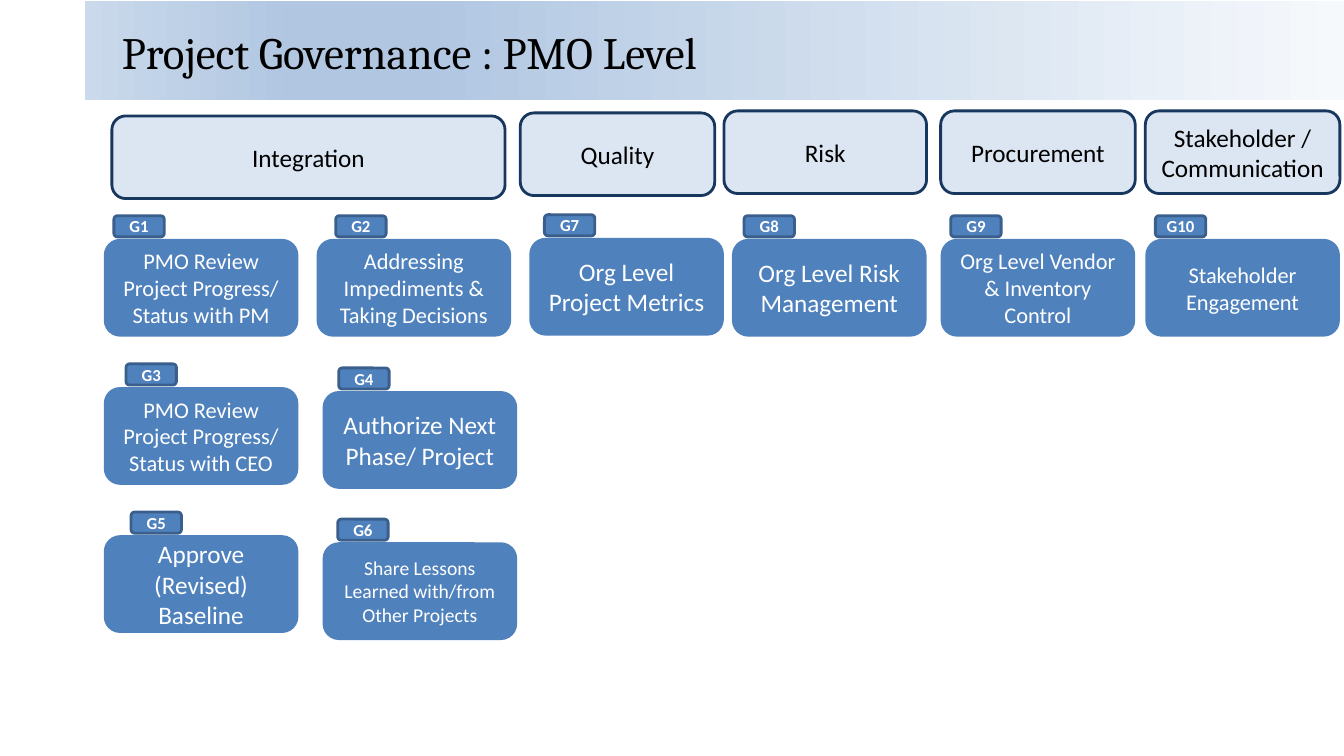
from lxml import etree
from pptx import Presentation, util as u
from pptx.dml.color import RGBColor
from pptx.enum import shapes, text
from pptx.oxml.ns import qn

WIDTH, HEIGHT = 13.33, 7.5
COLORS = {
    "process": "4F81BD", "tag_line": "3A5F8C", "area": "DCE6F2",
    "area_line": "17375E", "dark": "000000", "light": "FFFFFF",
}
BANNER_STOPS = [(0, "CAD9EB"), (17, "B0C6E1"), (26, "B0C6E1"), (100, "F6F9FC")]

COLUMN_LEFTS = (1.03, 3.14, 5.25, 7.26, 9.33, 11.36)
FIRST_ROW, ROW_PITCH = 2.37, 1.47
PROCESS_SIZE = (1.93, 0.97)
TAG_SIZE, TAG_RISE = (0.5, 0.21), 0.23

# Area name, box
AREAS = [
    ("Integration", (1.11, 1.15, 3.9, 0.82)),
    ("Quality", (5.16, 1.12, 1.93, 0.82)),
    ("Risk", (7.18, 1.1, 2.01, 0.82)),
    ("Procurement", (9.33, 1.1, 1.93, 0.82)),
    ("Stakeholder / Communication", (11.36, 1.1, 1.93, 0.82)),
]
# Column, row, wording, text size, tag indent, shift from the grid
PROCESSES = [
    (0, 0, "PMO Review Project Progress/ Status with PM", 16, 0.1, (0, 0)),
    (1, 0, "Addressing Impediments & Taking Decisions", 16, 0.19, (0, 0)),
    (0, 1, "PMO Review Project Progress/ Status with CEO", 16, 0.22, (0, 0)),
    (1, 1, "Authorize Next Phase/ Project", 18, 0.16, (0.06, 0.04)),
    (0, 2, "Approve (Revised) Baseline", 18, 0.27, (0, 0)),
    (1, 2, "Share Lessons Learned with/from Other Projects", 14, 0.15, (0.06, 0.07)),
    (2, 0, "Org Level Project Metrics", 18, 0.15, (0, -0.01)),
    (3, 0, "Org Level Risk Management", 18, 0.12, (0, 0)),
    (4, 0, "Org Level Vendor & Inventory Control", 16, 0.1, (0, 0)),
    (5, 0, "Stakeholder Engagement", 16, 0.1, (0, 0)),
]


def inches(box):
    return [u.Inches(length) for length in box]


def write(shape, wording, size, color, font="Calibri", bold=False,
          align=text.PP_ALIGN.CENTER, margin=0.1):
    frame = shape.text_frame
    frame.text = wording
    frame.word_wrap = True
    frame.auto_size = text.MSO_AUTO_SIZE.NONE
    frame.vertical_anchor = text.MSO_ANCHOR.MIDDLE
    frame.margin_left = frame.margin_right = u.Inches(margin)
    paragraph = frame.paragraphs[0]
    paragraph.alignment = align
    run_font = paragraph.runs[0].font
    run_font.name, run_font.size, run_font.bold = font, u.Pt(size), bold
    run_font.color.rgb = RGBColor.from_string(COLORS[color])


def add_box(slide, box, fill, line=None):
    shape = slide.shapes.add_shape(shapes.MSO_SHAPE.ROUNDED_RECTANGLE, *inches(box))
    shape.shadow.inherit = False
    shape.fill.solid()
    shape.fill.fore_color.rgb = RGBColor.from_string(COLORS[fill])
    if line:
        shape.line.color.rgb = RGBColor.from_string(COLORS[line])
        shape.line.width = u.Pt(2)
    else:
        shape.line.fill.background()
    return shape


def add_banner(slide, box):
    """Place the title over a band that fades to the right."""
    left, top, width, height = box
    banner = slide.shapes.add_shape(shapes.MSO_SHAPE.RECTANGLE, *inches(box))
    banner.shadow.inherit = False
    banner.line.fill.background()
    banner.fill.gradient()
    banner.fill.gradient_angle = 0
    stops = banner.element.spPr.find(".//" + qn("a:gsLst"))
    for stop in list(stops):
        stops.remove(stop)
    for percent, color in BANNER_STOPS:
        stop = etree.SubElement(stops, qn("a:gs"), pos=str(percent * 1000))
        etree.SubElement(stop, qn("a:srgbClr"), val=color)

    title = slide.shapes.title
    title.left, title.top, title.width, title.height = inches(
        (left + 0.27, top + 0.05, width - 0.71, height - 0.07))
    write(title, "Project Governance : PMO Level", 32, "dark",
          font="Cambria", align=text.PP_ALIGN.LEFT)
    title.element.addprevious(banner.element)


def add_process(slide, box, wording, size, tag, tag_indent):
    """Add a process box with its numbered tag above the top edge."""
    left, top = box[:2]
    write(add_box(slide, box, "process"), wording, size, "light")
    tag_box = (left + tag_indent, top - TAG_RISE, *TAG_SIZE)
    write(add_box(slide, tag_box, "process", "tag_line"), tag, 12, "light",
          bold=True, margin=0)


def add_governance_slide(presentation):
    slide = presentation.slides.add_slide(presentation.slide_layouts[5])
    add_banner(slide, (0.84, 0.01, WIDTH - 0.84, 0.98))
    for name, box in AREAS:
        write(add_box(slide, box, "area", "area_line"), name, 18, "dark")
    for number, process in enumerate(PROCESSES, start=1):
        column, row, wording, size, tag_indent, (shift_x, shift_y) = process
        left = COLUMN_LEFTS[column] + shift_x
        top = FIRST_ROW + row * ROW_PITCH + shift_y
        add_process(slide, (left, top, *PROCESS_SIZE), wording, size,
                    f"G{number}", tag_indent)


def main():
    presentation = Presentation()
    presentation.slide_width = u.Inches(WIDTH)
    presentation.slide_height = u.Inches(HEIGHT)
    add_governance_slide(presentation)
    presentation.save("out.pptx")


if __name__ == "__main__":
    main()
